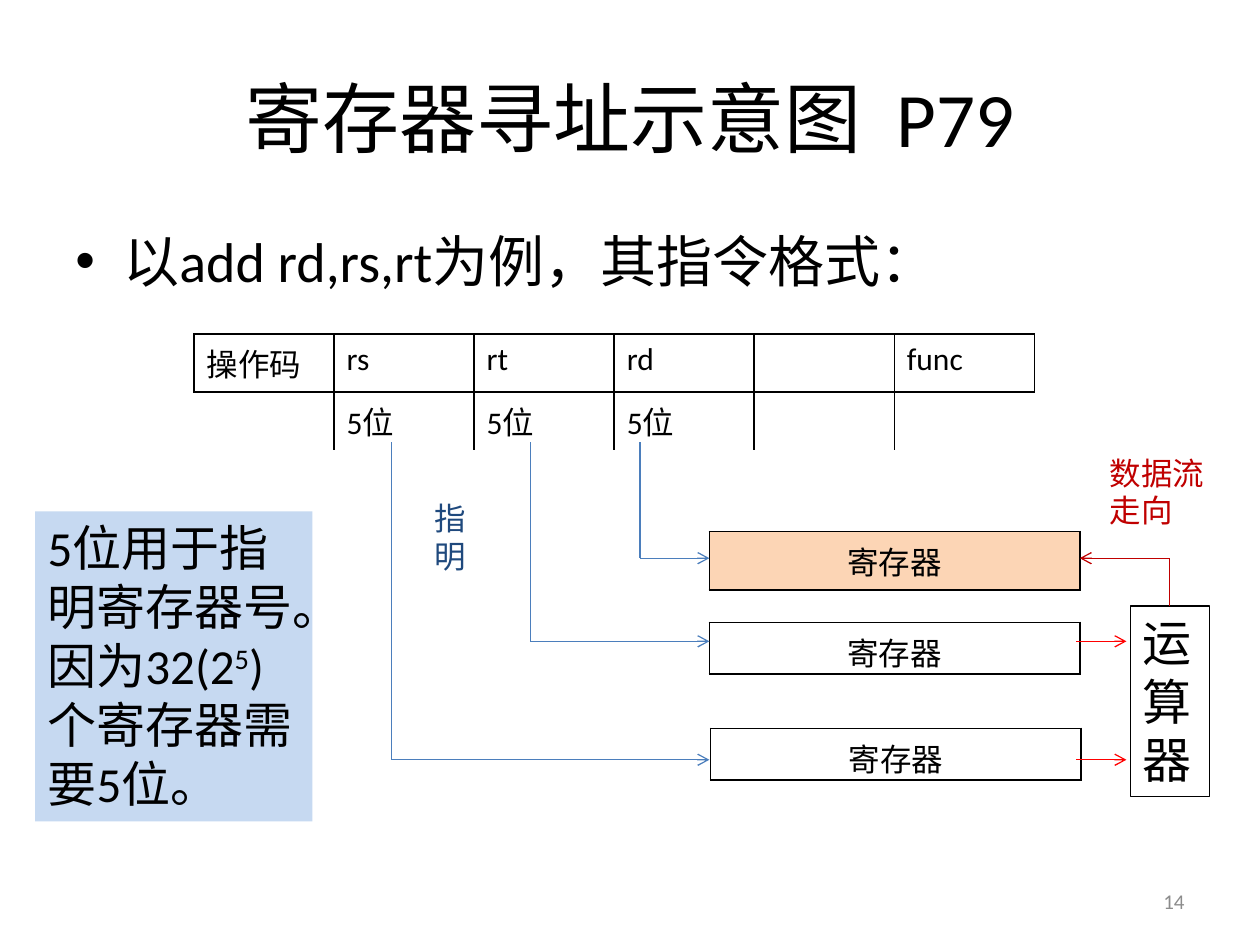
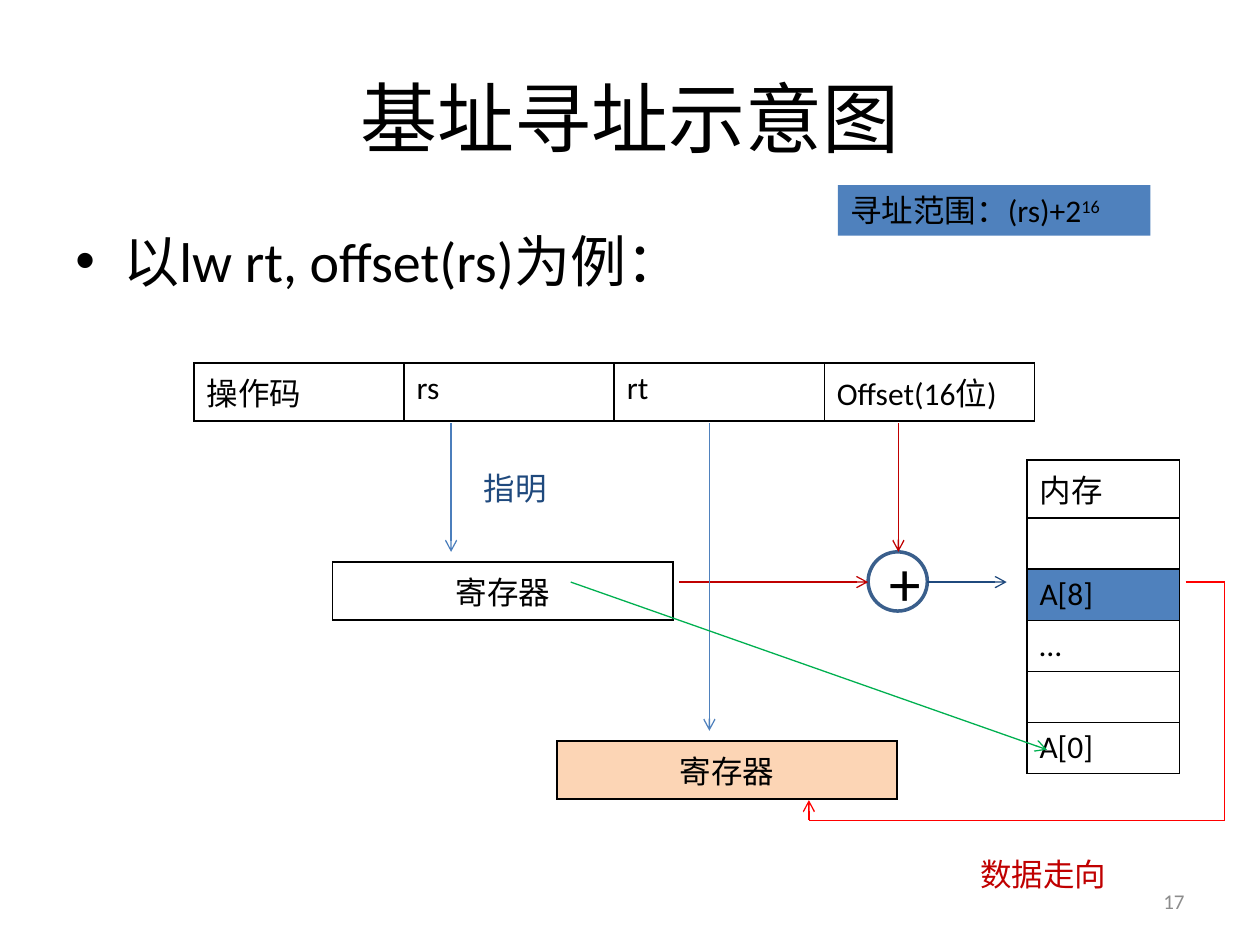
from dataclasses import dataclass
from typing import Optional

import lxml.etree
import pptx
import pptx.dml.color
import pptx.enum.shapes
import pptx.enum.text
import pptx.oxml.ns
import pptx.util
from pptx.util import Inches

FONT = "Calibri"
COLOURS = {
    "black": "000000", "grey": "8C8C8C", "navy": "1F497D", "blue": "4F81BD",
    "arrow": "4B7EBC", "ring": "3A5F8C", "pale": "C6D9F1", "peach": "FCD5B5",
    "red": "FF0000", "crimson": "C00000", "green": "00B050",
}
SHAPES = pptx.enum.shapes.MSO_SHAPE
ALIGN = pptx.enum.text.PP_ALIGN
ANCHOR = pptx.enum.text.MSO_ANCHOR
REGISTER = "寄存器"
qn = pptx.oxml.ns.qn


@dataclass
class Label:
    """Text in a box; every second piece of `texts` is superscript."""
    box: tuple[float, float, float, float]
    texts: tuple[str, ...]
    size: float = 18
    colour: str = "black"
    align: ALIGN = ALIGN.LEFT
    anchor: ANCHOR = ANCHOR.TOP
    grow: bool = True
    shape: Optional[SHAPES] = None
    fill: Optional[str] = None
    line: Optional[str] = None
    line_width: float = 0.75
    bullet: bool = False


@dataclass
class Grid:
    """A table with equal columns and rows; `fills` maps a row to a colour."""
    box: tuple[float, float, float, float]
    rows: list[list[str]]
    align: ALIGN = ALIGN.LEFT
    fills: Optional[dict[int, str]] = None
    open_from: int = 99  # first row without an outer frame


@dataclass
class Route:
    """A chain of straight lines."""
    points: list[tuple[float, float]]
    colour: str = "arrow"
    arrow: bool = True


def rgb(name: str) -> pptx.dml.color.RGBColor:
    return pptx.dml.color.RGBColor.from_string(COLOURS[name])


def add_run(paragraph, text: str, size: float, colour: str, raised: bool = False) -> None:
    run = paragraph.add_run()
    run.text = text
    run.font.name = FONT
    run.font.size = pptx.util.Pt(size)
    run.font.color.rgb = rgb(colour)
    if raised:
        run.font._element.set("baseline", "30000")


def add_label(slide, label: Label) -> None:
    box = [Inches(value) for value in label.box]
    if label.shape is None:
        shape = slide.shapes.add_textbox(*box)
    else:
        shape = slide.shapes.add_shape(label.shape, *box)
        shape.shadow.inherit = False
        if label.fill:
            shape.fill.solid()
            shape.fill.fore_color.rgb = rgb(label.fill)
        else:
            shape.fill.background()
        if label.line:
            shape.line.color.rgb = rgb(label.line)
            shape.line.width = pptx.util.Pt(label.line_width)
        else:
            shape.line.fill.background()
    frame = shape.text_frame
    frame.word_wrap = True
    frame.vertical_anchor = label.anchor
    sizes = pptx.enum.text.MSO_AUTO_SIZE
    frame.auto_size = sizes.SHAPE_TO_FIT_TEXT if label.grow else sizes.NONE
    paragraph = frame.paragraphs[0]
    paragraph.alignment = label.align
    for index, text in enumerate(label.texts):
        add_run(paragraph, text, label.size, label.colour, raised=index % 2 == 1)
    if label.bullet:
        paragraph.space_before = pptx.util.Pt(label.size * 0.2)
        properties = paragraph._p.get_or_add_pPr()
        properties.set("marL", str(Inches(0.38)))
        properties.set("indent", str(Inches(-0.38)))
        font = lxml.etree.SubElement(properties, qn("a:buFont"))
        font.set("typeface", "Arial")
        lxml.etree.SubElement(properties, qn("a:buChar")).set("char", "•")


def set_borders(cell, hidden: set[str]) -> None:
    """Draw the four cell edges, leaving out the hidden ones."""
    properties = cell._tc.get_or_add_tcPr()
    for index, edge in enumerate("LRTB"):
        line = lxml.etree.Element(qn(f"a:ln{edge}"), w=str(pptx.util.Pt(1)))
        if edge in hidden:
            lxml.etree.SubElement(line, qn("a:noFill"))
        else:
            solid = lxml.etree.SubElement(line, qn("a:solidFill"))
            colour = lxml.etree.SubElement(solid, qn("a:srgbClr"))
            colour.set("val", COLOURS["black"])
        properties.insert(index, line)


def add_grid(slide, grid: Grid) -> None:
    row_count, column_count = len(grid.rows), len(grid.rows[0])
    box = [Inches(value) for value in grid.box]
    table = slide.shapes.add_table(row_count, column_count, *box).table
    table.first_row = table.horz_banding = False
    for row_index, row in enumerate(grid.rows):
        for column_index, text in enumerate(row):
            cell = table.cell(row_index, column_index)
            fill = (grid.fills or {}).get(row_index)
            if fill:
                cell.fill.solid()
                cell.fill.fore_color.rgb = rgb(fill)
            else:
                cell.fill.background()
            paragraph = cell.text_frame.paragraphs[0]
            paragraph.alignment = grid.align
            if text:
                add_run(paragraph, text, 18, "black")
            hidden = set()
            if row_index >= grid.open_from:
                hidden.add("B")
                if column_index == 0:
                    hidden.add("L")
                if column_index == column_count - 1:
                    hidden.add("R")
            set_borders(cell, hidden)


def add_route(slide, route: Route) -> None:
    legs = list(zip(route.points, route.points[1:]))
    for index, (start, end) in enumerate(legs):
        connector = slide.shapes.add_connector(
            pptx.enum.shapes.MSO_CONNECTOR.STRAIGHT,
            *(Inches(value) for value in start + end))
        connector.line.color.rgb = rgb(route.colour)
        connector.line.width = pptx.util.Pt(0.75)
        properties = connector._element.spPr
        if route.arrow and index == len(legs) - 1:
            line = properties.find(qn("a:ln"))
            lxml.etree.SubElement(line, qn("a:tailEnd")).set("type", "arrow")
        lxml.etree.SubElement(properties, qn("a:effectLst"))


def register(left: float, top: float, width: float, fill: Optional[str] = None) -> Grid:
    return Grid((left, top, width, 0.41), [[REGISTER]], ALIGN.CENTER,
                {0: fill} if fill else None)


DRAW = {Label: add_label, Grid: add_grid, Route: add_route}


def build_slide(presentation, title: str, example: str, number: int, items: list) -> None:
    """Add a slide with title, bullet line and page number, then its diagram."""
    slide = presentation.slides.add_slide(presentation.slide_layouts[6])
    frame = [
        Label((0.5, 0.3, 9, 1.25), (title,), 44, align=ALIGN.CENTER,
              anchor=ANCHOR.MIDDLE, grow=False),
        Label((0.5, 1.75, 9, 0.8), (example,), 32, grow=False, bullet=True),
        Label((7.17, 6.95, 2.33, 0.4), (str(number),), 12, "grey", ALIGN.RIGHT,
              ANCHOR.MIDDLE, grow=False),
    ]
    for item in frame + items:
        DRAW[type(item)](slide, item)


presentation = pptx.Presentation()
presentation.slide_width = Inches(10)
presentation.slide_height = Inches(7.5)

# Register addressing: heights of the rd, rt and rs arrows
RD_Y, RT_Y, RS_Y = 4.43, 5.09, 6.03
FIELD_BOTTOM, REGISTER_LEFT = 3.51, 5.63
register_items = [
    # Instruction format and registers
    Grid((1.54, 2.65, 6.67, 0.81),
         [["操作码", "rs", "rt", "rd", "", "func"],
          ["", "5位", "5位", "5位", "", ""]], open_from=1),
    register(REGISTER_LEFT, 4.22, 2.94, "peach"),
    Label((0.28, 4.06, 2.2, 2.46),
          ("5位用于指明寄存器号。因为32(2", "5", ")个寄存器需要5位。"), 28,
          shape=SHAPES.RECTANGLE, fill="pale"),
    register(REGISTER_LEFT, 4.94, 2.94),
    register(REGISTER_LEFT + 0.01, 5.78, 2.94),
    # Fields pointing to registers
    *(Route([(x, FIELD_BOTTOM), (x, y), (REGISTER_LEFT, y)])
      for x, y in ((3.11, RS_Y), (4.21, RT_Y), (5.08, RD_Y))),
    # Data flow through the arithmetic unit
    *(Route([(8.54, y), (8.94, y)], "red") for y in (RT_Y, RS_Y)),
    Label((8.97, 4.81, 0.63, 1.51), ("运算器",), 28,
          shape=SHAPES.RECTANGLE, line="black"),
    Route([(9.28, 4.81), (9.28, RD_Y), (8.57, RD_Y)], "crimson"),
    Label((8.71, 3.55, 1.14, 0.71), ("数据流走向",), colour="crimson"),
    Label((3.35, 3.91, 0.55, 0.71), ("指明",), colour="navy"),
]
build_slide(presentation, "寄存器寻址示意图  P79", "以add rd,rs,rt为例，其指令格式：",
            14, register_items)

# Base addressing: shared axis of register, adder and memory
AXIS_Y, OFFSET_X, FIELD_BOTTOM = 4.62, 7.13, 3.36
base_items = [
    # Instruction format, base register and adder
    Grid((1.54, 2.88, 6.67, 0.41), [["操作码", "rs", "rt", "Offset(16位)"]]),
    register(2.64, 4.46, 2.7),
    Route([(3.58, FIELD_BOTTOM), (3.58, 4.38)]),
    Label((6.89, 4.38, 0.47, 0.47), ("+",), 36, align=ALIGN.CENTER,
          anchor=ANCHOR.MIDDLE, grow=False, shape=SHAPES.OVAL, line="ring", line_width=2),
    Route([(5.39, AXIS_Y), (6.89, AXIS_Y)], "crimson"),
    Route([(OFFSET_X, FIELD_BOTTOM), (OFFSET_X, 4.38)], "crimson"),
    # Memory and target register
    Grid((8.15, 3.65, 1.21, 2.42),
         [["内存"], [""], ["A[8]"], ["…"], [""], ["A[0]"]], fills={2: "blue"}),
    Route([(7.36, AXIS_Y), (7.99, AXIS_Y)], "navy"),
    register(4.42, 5.88, 2.7, "peach"),
    Route([(5.63, FIELD_BOTTOM), (5.63, 5.8)], "blue"),
    Route([(9.41, AXIS_Y), (9.72, AXIS_Y), (9.72, 6.51), (6.42, 6.51), (6.42, 6.35)], "red"),
    # Notes
    Label((3.74, 3.67, 0.79, 0.4), ("指明",), colour="navy"),
    Label((7.68, 6.74, 1.5, 0.4), ("数据走向",), colour="crimson"),
    Label((6.65, 1.47, 2.48, 0.4), ("寻址范围：(rs)+2", "16"),
          shape=SHAPES.RECTANGLE, fill="blue"),
    Route([(4.53, AXIS_Y), (8.31, 5.95)], "green"),
]
build_slide(presentation, "基址寻址示意图", "以lw rt, offset(rs)为例：", 17, base_items)

presentation.save("out.pptx")
